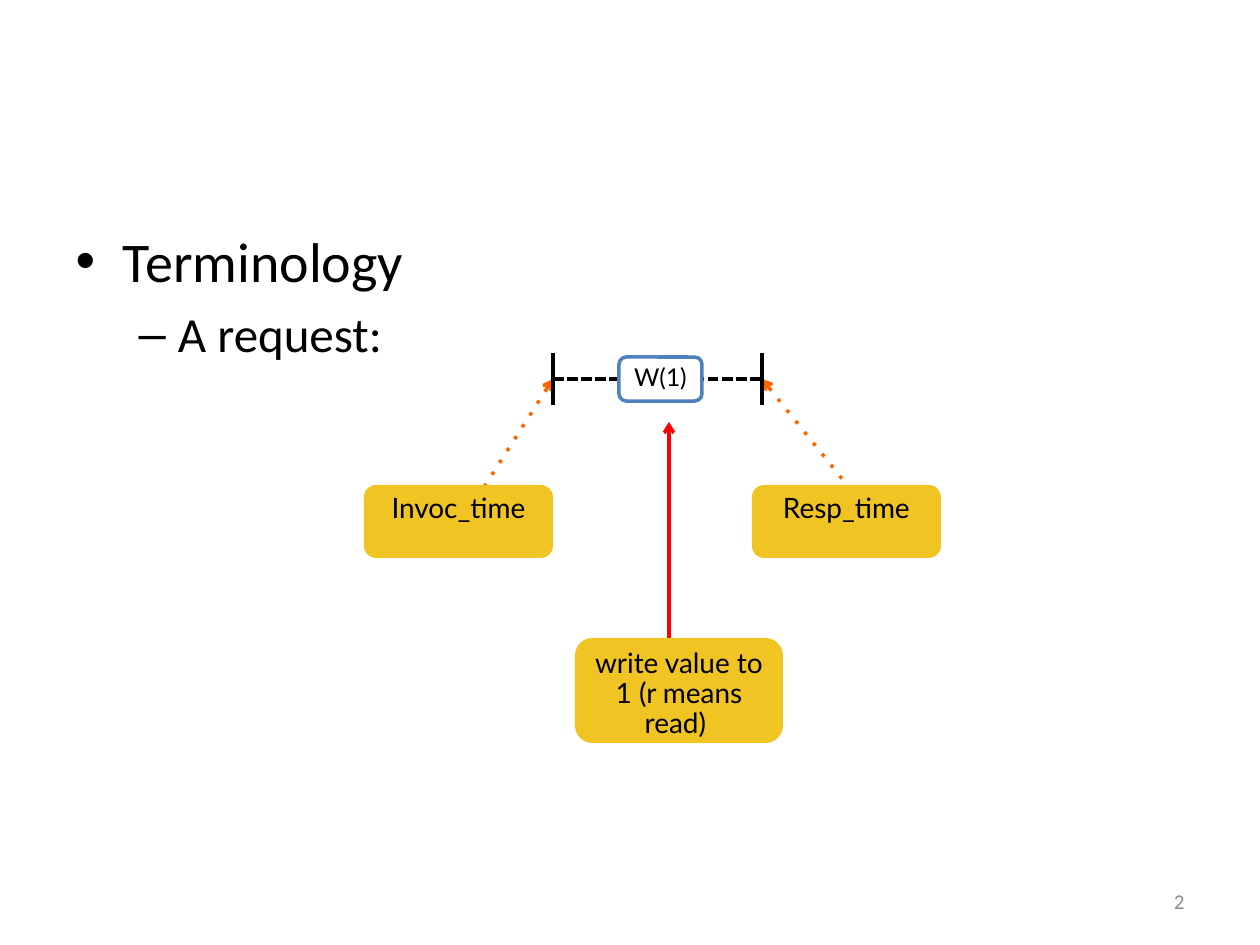
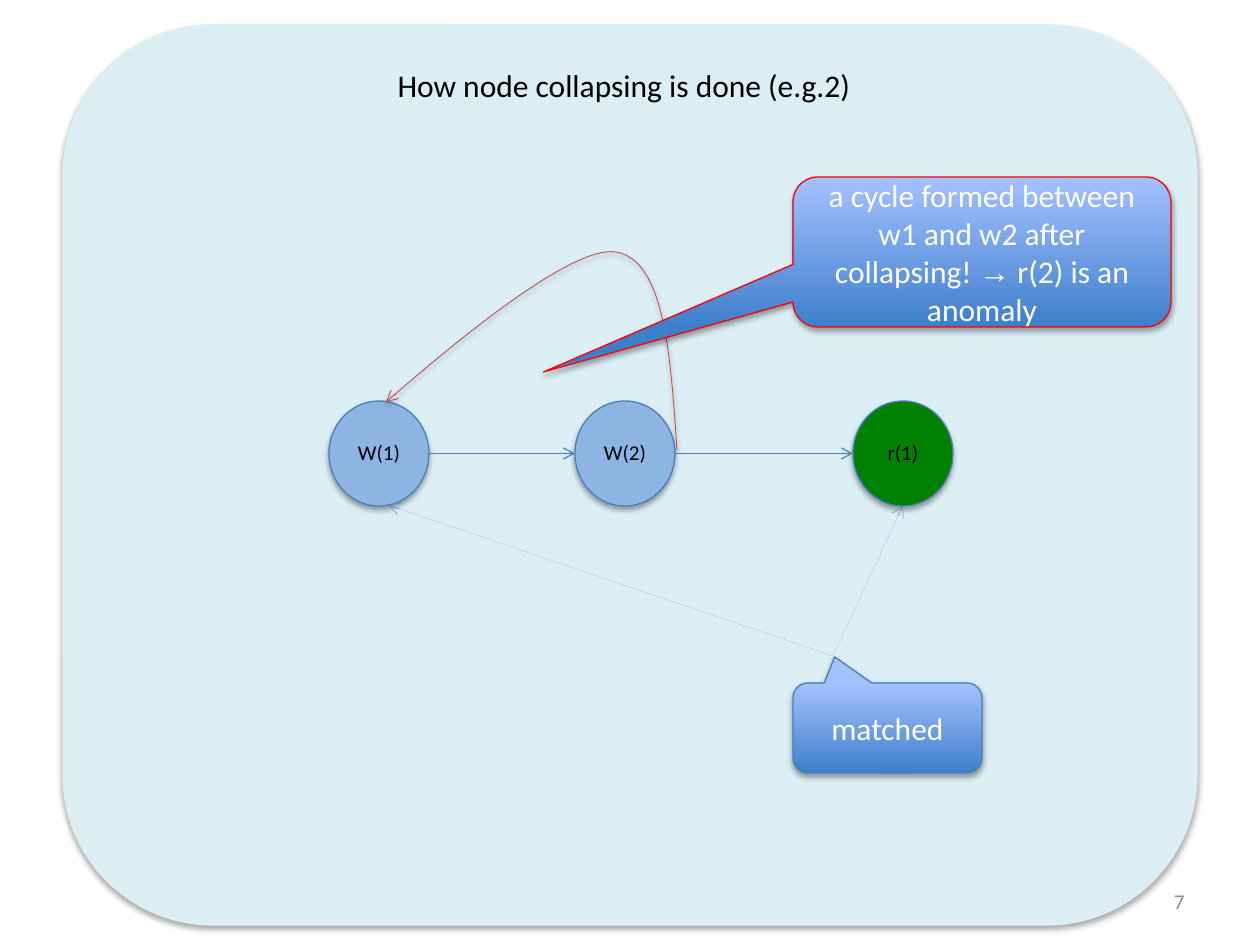
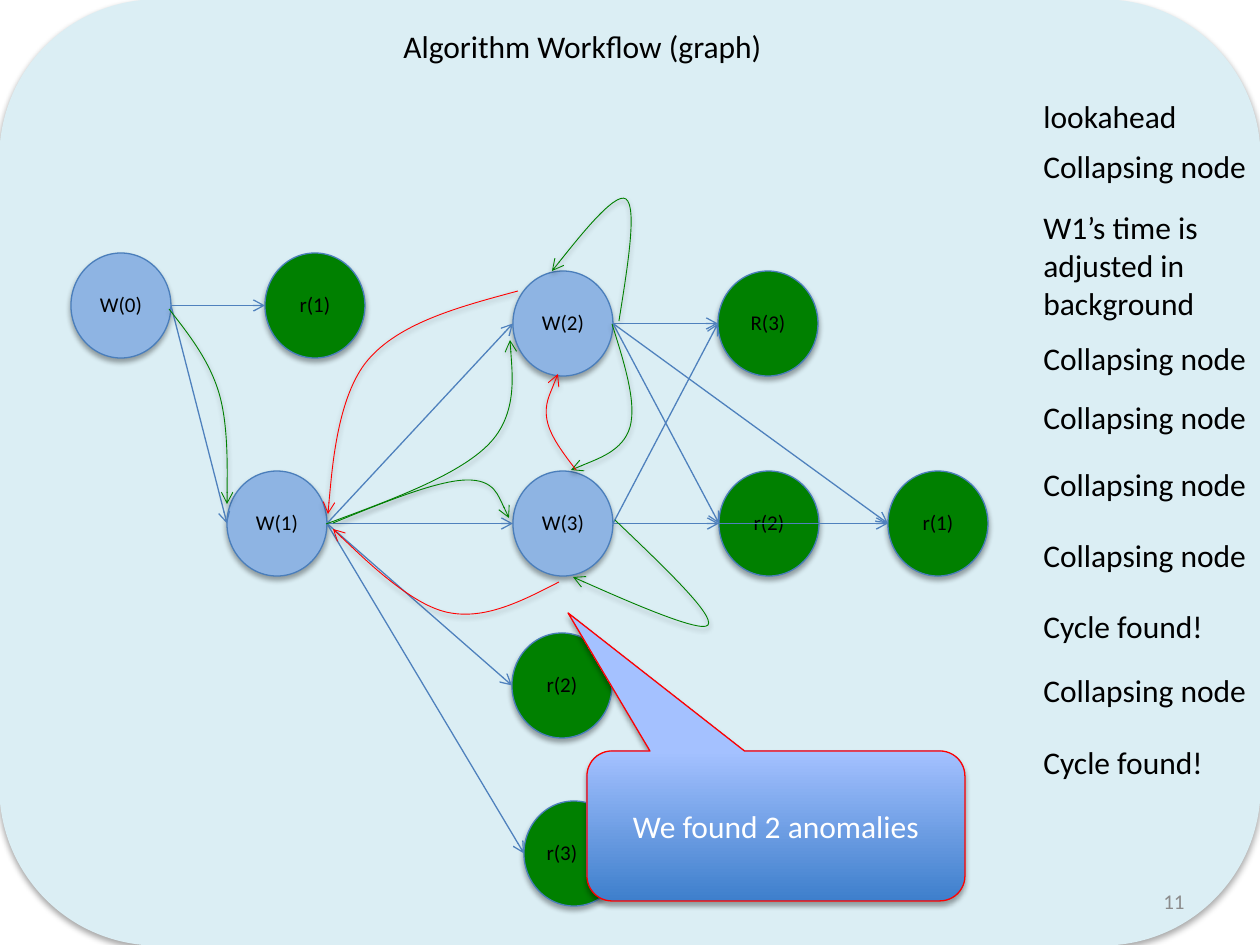
import pptx
import pptx.util
import pptx.dml.color
import pptx.enum.shapes
import pptx.enum.text
import pptx.oxml
import pptx.oxml.ns
import pptx.oxml.xmlchemy

RGB = pptx.dml.color.RGBColor
Pt = pptx.util.Pt
KIND = pptx.enum.shapes.MSO_SHAPE
ALIGN = pptx.enum.text.PP_ALIGN
ANCHOR = pptx.enum.text.MSO_ANCHOR

SCALE = 914400 / 126
BLACK = RGB.from_string("000000")
WHITE = RGB.from_string("FFFFFF")
GRAY = RGB.from_string("8C8C8C")
GOLD = RGB.from_string("F0C423")
ORANGE = RGB.from_string("FF6600")
RED = RGB.from_string("FF0000")
BRICK = RGB.from_string("C0504D")
GREEN = RGB.from_string("008000")
PALE = RGB.from_string("DBEEF4")
SKY = RGB.from_string("8EB4E3")
BLUE = RGB.from_string("4F81BD")
EDGE = RGB.from_string("4A7EBB")
DEEP = RGB.from_string("3E7FCC")
LIGHT = RGB.from_string("A4C1FF")
WIDE, HIGH = 100, 105
ROW = 50
CALL = (378, 150)

TERMS = [("Terminology", 32), ("A request:", 28)]
BEGIN, END, AXIS, TICK = 553, 762, 379, 26
SIGN = (189, 73)
SIGN_TOP = 485
SIGNS = [("Invoc_time", 364, (479, 495)), ("Resp_time", 752, (847, SIGN_TOP))]
WRITE = ("write value to 1 (r means read) ", (575, 638, 208, 105))
PILL = ("W(1)", (619, 357, 83, 44))
STEM, STEM_TOP = 669, 422

GRAPHS = [
    {
        "page": "7",
        "band": (63, 25, 1134, 900),
        "title": ("How node collapsing is done (e.g.2)", (360, 60, 528, ROW)),
        "nodes": {"a": ("W(1)", 329, 401), "b": ("W(2)", 575, 401),
                  "c": ("r(1)", 853, 401)},
        "links": "ab bc",
        "dots": [((903, 505), (833, 656)), ((388, 505), (833, 656))],
        "curves": [(BRICK, (677, 450), (616, 252), (386, 402))],
        "notes": [],
        "calls": [
            ([("matched", "Calibri")], (793, 683, 189, 90), (-0.28, -0.79), EDGE),
            ([("a cycle formed between w1 and w2 after collapsing! ", "Calibri"),
              ("→", "Arial"), (" r(2) is an anomaly", "Calibri")],
             (793, 177, *CALL), (-1.16, 0.8), RED),
        ],
    },
    {
        "page": "11",
        "band": (0, 0, 1260, 945),
        "title": ("Algorithm Workflow (graph)", (364, 21, 437, ROW)),
        "nodes": {
            "a": ("W(0)", 71, 253), "b": ("r(1)", 265, 253),
            "c": ("W(1)", 227, 471), "d": ("W(2)", 513, 271),
            "e": ("W(3)", 513, 471), "f": ("r(2)", 512, 633),
            "g": ("r(3)", 524, 801), "h": ("R(3)", 718, 271),
            "i": ("r(2)", 719, 471), "j": ("r(1)", 888, 471),
        },
        "links": "ab ac cd ce cf cg dh di eh ei dj ej",
        "dots": [],
        "curves": [
            (GREEN, (169, 309), (219, 393), (227, 504)),
            (GREEN, (326, 524), (488, 445), (510, 340)),
            (GREEN, (615, 520), (708, 625), (573, 577)),
            (GREEN, (612, 324), (630, 427), (571, 470)),
            (GREEN, (619, 321), (626, 199), (552, 271)),
            (RED, (576, 470), (547, 420), (558, 374)),
            (RED, (518, 291), (368, 360), (328, 514)),
            (RED, (559, 582), (446, 612), (333, 529)),
            (GREEN, (333, 523), (466, 480), (509, 518)),
        ],
        "notes": [
            ("lookahead", 91), ("Collapsing node", 141),
            ("W1’s time is adjusted in background", 202),
            ("Collapsing node", 333), ("Collapsing node", 392),
            ("Collapsing node", 459), ("Collapsing node", 530),
            ("Cycle found!", 601), ("Collapsing node", 665),
            ("Cycle found!", 737),
        ],
        "calls": [
            ([("We found 2 anomalies", "Calibri")], (587, 751, *CALL),
             (-0.55, -1.42), RED),
        ],
    },
]


def emu(*sizes):
    return [round(size * SCALE) for size in sizes]


def make(tag, parent, **attrs):
    node = pptx.oxml.xmlchemy.OxmlElement("a:" + tag)
    for key, value in attrs.items():
        node.set(key, str(value))
    parent.append(node)
    return node


def write(para, text, size, color, font="Calibri"):
    run = para.add_run()
    run.text = text
    run.font.size = Pt(size)
    run.font.name = font
    run.font.color.rgb = color


def add_text(slide, text, box, size, color=BLACK, align=ALIGN.LEFT,
             anchor=ANCHOR.TOP, wrap=False):
    frame = slide.shapes.add_textbox(*emu(*box)).text_frame
    frame.word_wrap = wrap
    frame.vertical_anchor = anchor
    frame.paragraphs[0].alignment = align
    write(frame.paragraphs[0], text, size, color)


def add_page(slide, text):
    add_text(slide, text, (903, 876, 294, ROW), 12, GRAY, ALIGN.RIGHT, ANCHOR.MIDDLE)


def shade(shape, alpha=35, dist=1.8):
    shape.shadow.inherit = False
    effects = shape._element.spPr.find(pptx.oxml.ns.qn("a:effectLst"))
    outer = make("outerShdw", effects, blurRad=Pt(3.1), dist=Pt(dist),
                 dir=5400000, rotWithShape=0)
    make("alpha", make("srgbClr", outer, val="000000"), val=alpha * 1000)


def draw(line, color, width, dash=None, end=None):
    line.color.rgb = color
    line.width = Pt(width)
    ln = line._get_or_add_ln()
    if dash:
        make("prstDash", ln, val=dash)
    if end:
        make(end, ln, type="arrow")


def add_shape(slide, kind, box, fill, edge=None, width=0.75):
    shape = slide.shapes.add_shape(kind, *emu(*box))
    shape.shadow.inherit = False
    if fill:
        shape.fill.solid()
        shape.fill.fore_color.rgb = fill
    if edge:
        draw(shape.line, edge, width)
    else:
        shape.line.fill.background()
    return shape


def add_line(slide, start, stop, color, width, dash=None, end=None):
    line = slide.shapes.add_connector(
        pptx.enum.shapes.MSO_CONNECTOR.STRAIGHT, *emu(*start, *stop))
    draw(line.line, color, width, dash, end)
    make("effectLst", line._element.spPr)


def add_curve(slide, color, *knots):
    start, mid, stop = knots = [emu(*knot) for knot in knots]
    build = slide.shapes.build_freeform(*start, scale=1.0)
    build.add_line_segments(knots[1:], close=False)
    curve = build.convert_to_shape()
    curve.fill.background()
    draw(curve.line, color, 0.5, end="tailEnd")
    shade(curve, 38, 1.6)

    lean = [(b - a) / 6 for a, b in zip(start, stop)]
    before = [m - d for m, d in zip(mid, lean)]
    after = [m + d for m, d in zip(mid, lean)]
    first = [(a + b) / 2 for a, b in zip(start, before)]
    left, top = (min(axis) for axis in zip(*knots))
    route = curve._element.spPr.find(".//" + pptx.oxml.ns.qn("a:path"))
    for step in route.findall(pptx.oxml.ns.qn("a:lnTo")):
        route.remove(step)
    for points in ((first, before, mid), (after, stop, stop)):
        bend = make("cubicBezTo", route)
        for x, y in points:
            make("pt", bend, x=round(x - left), y=round(y - top))


def add_call(slide, runs, box, tip, edge):
    call = add_shape(slide, KIND.ROUNDED_RECTANGULAR_CALLOUT, box, None, edge)
    for index, value in enumerate(tip):
        call.adjustments[index] = value
    call.fill.gradient()
    call.fill.gradient_angle = 90
    for stop, color in zip(call.fill.gradient_stops, (DEEP, LIGHT)):
        stop.color.rgb = color
    shade(call)
    frame = call.text_frame
    frame.word_wrap = True
    frame.vertical_anchor = ANCHOR.MIDDLE
    frame.paragraphs[0].alignment = ALIGN.CENTER
    for text, font in runs:
        write(frame.paragraphs[0], text, 18, WHITE, font)


def add_box(slide, text, box, size=16, fill=GOLD, edge=None):
    shape = add_shape(slide, KIND.ROUNDED_RECTANGLE, box, fill, edge, 2)
    frame = shape.text_frame
    frame.word_wrap = True
    frame.vertical_anchor = ANCHOR.TOP
    para = frame.paragraphs[0]
    para.alignment = ALIGN.CENTER
    para.line_spacing = 0.9
    write(para, text, size, BLACK, "Lato")


def build_terms(deck):
    slide = deck.slides.add_slide(deck.slide_layouts[1])
    title = slide.shapes.title._element
    title.getparent().remove(title)
    frame = slide.placeholders[1].text_frame
    for level, (text, size) in enumerate(TERMS):
        para = frame.add_paragraph() if level else frame.paragraphs[0]
        para.level = level
        write(para, text, size, BLACK)

    add_line(slide, (BEGIN, AXIS), (END, AXIS), BLACK, 2, "sysDash")
    for x, (text, left, foot) in zip((BEGIN, END), SIGNS):
        add_line(slide, (x, AXIS), foot, ORANGE, 2, "dot", "headEnd")
        add_box(slide, text, (left, SIGN_TOP, *SIGN))
        add_line(slide, (x, AXIS - TICK), (x, AXIS + TICK), BLACK, 2)
    add_line(slide, (STEM, STEM_TOP), (STEM, WRITE[1][1]), RED, 2, end="headEnd")
    add_box(slide, *PILL, 14, WHITE, BLUE)
    add_box(slide, *WRITE)
    add_page(slide, "2")


def build_graph(deck, graph):
    slide = deck.slides.add_slide(deck.slide_layouts[5])
    shade(add_shape(slide, KIND.ROUNDED_RECTANGLE, graph["band"], PALE, PALE))

    text, box = graph["title"]
    title = slide.shapes.title
    title.left, title.top, title.width, title.height = emu(*box)
    write(title.text_frame.paragraphs[0], text, 18, BLACK)
    slide.shapes._spTree.append(title._element)

    nodes = graph["nodes"]
    for text, x, y in nodes.values():
        fill = SKY if text.startswith("W") else GREEN
        shade(add_shape(slide, KIND.OVAL, (x, y, WIDE, HIGH), fill, EDGE))
        shift = 0 if text == "r(3)" else 12
        add_text(slide, text, (x + shift, y + 32, 76, 38), 12, align=ALIGN.CENTER)
    for tail, head in graph["links"].split():
        start, stop = nodes[tail], nodes[head]
        add_line(slide, (start[1] + WIDE, start[2] + HIGH / 2),
                 (stop[1], stop[2] + HIGH / 2), BLUE, 0.75, end="tailEnd")
    for start, stop in graph["dots"]:
        add_line(slide, start, stop, BLUE, 0.25, "dot", "headEnd")
    for curve in graph["curves"]:
        add_curve(slide, *curve)
    for text, y in graph["notes"]:
        long = len(text) > 20
        add_text(slide, text, (1031, y, 228, 127 if long else ROW), 18, wrap=long)
    for call in graph["calls"]:
        add_call(slide, *call)
    add_page(slide, graph["page"])


def main():
    deck = pptx.Presentation()
    deck.slide_width, deck.slide_height = emu(1260, 945)
    build_terms(deck)
    for graph in GRAPHS:
        build_graph(deck, graph)
    deck.save("out.pptx")


if __name__ == "__main__":
    main()
